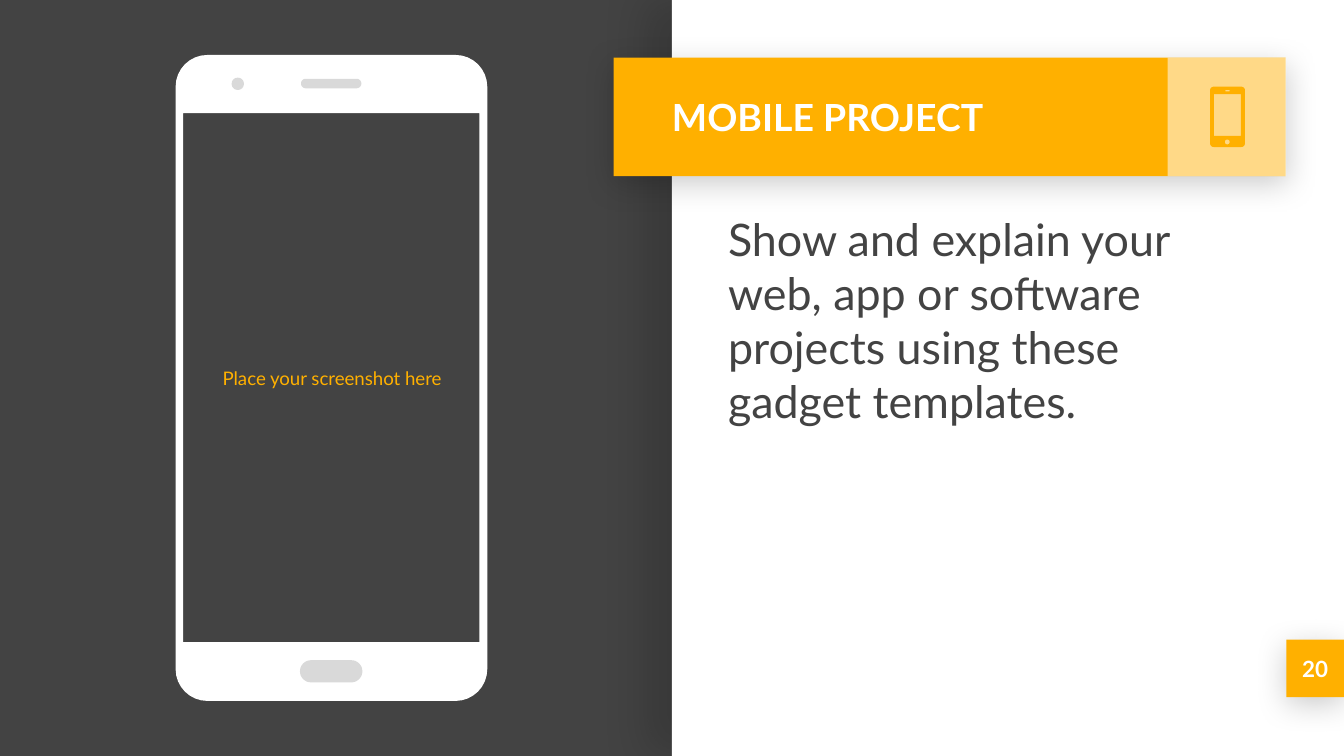
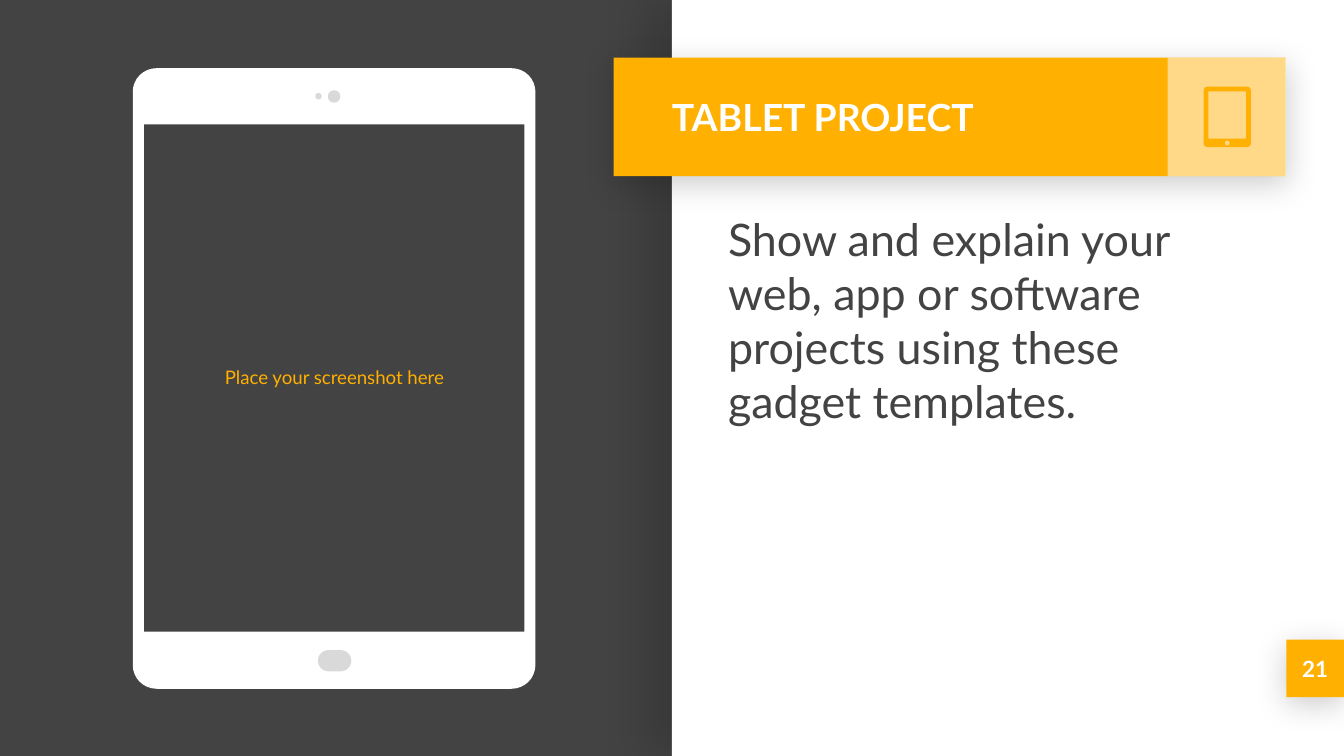
"""Build the phone and tablet project slides."""
import math
from typing import NamedTuple

from lxml import etree
from pptx import Presentation
from pptx import util as u
from pptx.dml.color import RGBColor
from pptx.enum import shapes, text
from pptx.oxml.ns import qn
from pptx.shapes.autoshape import Shape
from pptx.slide import Slide

COLORS = {"dark": "434343", "white": "FFFFFF", "amber": "FFB000", "grey": "D9D9D9", "black": "000000"}
FONT = "Lato"
CORNER_STEPS = 8


class Area(NamedTuple):
    """A rectangle in centimetres, with an optional corner radius."""
    left: float
    top: float
    width: float
    height: float
    radius: float = 0

    def lengths(self) -> list[u.Cm]:
        """Return left, top, width and height as lengths."""
        return [u.Cm(value) for value in self[:4]]

    def outline(self) -> list[tuple[int, int]]:
        """Return the points around the area, clockwise from the right."""
        inset = self.radius
        right, bottom = self.left + self.width - inset, self.top + self.height - inset
        left, top = self.left + inset, self.top + inset
        steps = CORNER_STEPS if inset else 0
        points = []
        for quarter, (x, y) in enumerate([(right, bottom), (left, bottom), (left, top), (right, top)]):
            for step in range(steps + 1):
                angle = math.pi / 2 * (quarter + step / max(steps, 1))
                points.append((u.Cm(x + inset * math.cos(angle)), u.Cm(y + inset * math.sin(angle))))
        return points


class Shadow(NamedTuple):
    """An outer shadow: opacity in percent, lengths in points, direction in degrees."""
    opacity: int
    blur: float
    distance: float
    direction: int


class Style(NamedTuple):
    """How a text box looks."""
    size: int
    color: str
    bold: bool = False
    align: text.PP_ALIGN = text.PP_ALIGN.LEFT
    anchor: text.MSO_ANCHOR = text.MSO_ANCHOR.MIDDLE
    space_before: int = 0


class Project(NamedTuple):
    """The content of one slide."""
    title: str
    number: str
    body: Area
    screen: Area
    caption: Area
    marks: list[Area]
    icon: list[Area]


PANEL = Area(12.7, 0, 12.7, 14.29)
BADGE = Area(24.31, 12.09, 1.09, 1.09)
BANNER = Area(11.6, 1.09, 12.7, 2.24)
ICON_TILE = Area(22.07, 1.09, 2.24, 2.24)
TITLE = Area(12.45, 1.09, 9.61, 2.24)
MESSAGE = Area(13.51, 3.76, 10.49, 8.15)

SIDE_SHADOW = Shadow(15, 22.5, 15, 180)
DROP_SHADOW = Shadow(20, 16.9, 3.8, 90)

TITLE_STYLE = Style(20, "white", bold=True)
NUMBER_STYLE = Style(12, "white", bold=True, align=text.PP_ALIGN.CENTER)
CAPTION_STYLE = Style(10, "amber", align=text.PP_ALIGN.CENTER)
MESSAGE_STYLE = Style(24, "dark", anchor=text.MSO_ANCHOR.TOP, space_before=6)

PROJECTS = [
    Project(
        "MOBILE PROJECT", "20",
        body=Area(3.32, 1.04, 5.89, 12.21, 0.6),
        screen=Area(3.46, 2.14, 5.6, 10),
        caption=Area(3.48, 2.18, 5.59, 9.93),
        marks=[Area(5.67, 12.48, 1.18, 0.42, 0.21), Area(4.38, 1.47, 0.23, 0.23, 0.11),
               Area(5.69, 1.49, 1.14, 0.18, 0.09)],
        icon=[Area(22.87, 1.64, 0.66, 1.14, 0.07), Area(22.94, 1.78, 0.51, 0.79),
              Area(23.16, 1.7, 0.08, 0.03, 0.01), Area(23.15, 2.64, 0.09, 0.09, 0.04)],
    ),
    Project(
        "TABLET PROJECT", "21",
        body=Area(2.51, 1.29, 7.61, 11.73, 0.45),
        screen=Area(2.72, 2.35, 7.19, 9.59),
        caption=Area(2.74, 2.36, 7.16, 9.55),
        marks=[Area(6.01, 12.29, 0.63, 0.4, 0.2), Area(5.96, 1.76, 0.12, 0.12, 0.06),
               Area(6.2, 1.71, 0.23, 0.23, 0.11)],
        icon=[Area(22.75, 1.64, 0.89, 1.14, 0.07), Area(22.84, 1.73, 0.71, 0.89),
              Area(23.15, 2.66, 0.09, 0.09, 0.04)],
    ),
]


def rgb(color: str) -> RGBColor:
    """Look up a named colour."""
    return RGBColor.from_string(COLORS[color])


def paint(shape: Shape, color: str) -> None:
    """Give a shape a flat fill without line or shadow."""
    shape.shadow.inherit = False
    shape.fill.solid()
    shape.fill.fore_color.rgb = rgb(color)
    shape.line.fill.background()


def add_alpha(color_element: etree._Element, percent: int) -> None:
    """Set the opacity of a colour element."""
    etree.SubElement(color_element, qn("a:alpha"), val=str(percent * 1000))


def add_block(page: Slide, area: Area, color: str, shadow: Shadow | None = None,
              opacity: int = 100) -> None:
    """Draw a plain rectangle."""
    block = page.shapes.add_shape(shapes.MSO_SHAPE.RECTANGLE, *area.lengths())
    paint(block, color)
    properties = block.element.spPr
    if opacity < 100:
        add_alpha(properties.find(qn("a:solidFill")).find(qn("a:srgbClr")), opacity)
    if shadow:
        outer = etree.SubElement(
            properties.find(qn("a:effectLst")), qn("a:outerShdw"),
            blurRad=str(u.Pt(shadow.blur)), dist=str(u.Pt(shadow.distance)),
            dir=str(shadow.direction * 60000), algn="bl", rotWithShape="0")
        add_alpha(etree.SubElement(outer, qn("a:srgbClr"), val=COLORS["black"]), shadow.opacity)


def add_outline(page: Slide, areas: list[Area], color: str) -> None:
    """Draw the first area with the others cut out of it."""
    first, *holes = [area.outline() for area in areas]
    builder = page.shapes.build_freeform(*first[0])
    builder.add_line_segments(first[1:])
    for hole in holes:
        builder.move_to(*hole[0])
        builder.add_line_segments(hole[1:])
    paint(builder.convert_to_shape(), color)


def add_text(page: Slide, area: Area, content: str, style: Style) -> None:
    """Place one paragraph of text."""
    frame = page.shapes.add_textbox(*area.lengths()).text_frame
    frame.word_wrap = True
    frame.vertical_anchor = style.anchor
    frame.margin_left = frame.margin_right = frame.margin_top = frame.margin_bottom = u.Cm(0.25)
    para = frame.paragraphs[0]
    para.text = content
    para.alignment = style.align
    para.space_before = u.Pt(style.space_before)
    para.font.name = FONT
    para.font.size = u.Pt(style.size)
    para.font.bold = style.bold
    para.font.color.rgb = rgb(style.color)


def add_frame(page: Slide) -> None:
    """Draw the background, panel and bands that all slides share."""
    page.background.fill.solid()
    page.background.fill.fore_color.rgb = rgb("dark")
    add_block(page, PANEL, "white", SIDE_SHADOW)
    add_block(page, BADGE, "amber", DROP_SHADOW)
    add_block(page, BANNER, "amber", DROP_SHADOW)
    add_block(page, ICON_TILE, "white", opacity=53)


def add_project(page: Slide, project: Project) -> None:
    """Fill one slide with a project."""
    add_frame(page)
    add_text(page, MESSAGE, "Show and explain your web, app or software projects using these gadget templates.",
             MESSAGE_STYLE)
    add_text(page, BADGE, project.number, NUMBER_STYLE)
    add_outline(page, [project.body, project.screen], "white")
    for mark in project.marks:
        add_outline(page, [mark], "grey")
    add_text(page, TITLE, project.title, TITLE_STYLE)
    add_outline(page, project.icon, "amber")
    add_text(page, project.caption, "Place your screenshot here", CAPTION_STYLE)


def main() -> None:
    """Build and save the deck."""
    deck = Presentation()
    deck.slide_width, deck.slide_height = u.Cm(25.4), u.Cm(14.29)
    for project in PROJECTS:
        add_project(deck.slides.add_slide(deck.slide_layouts[6]), project)
    deck.save("out.pptx")


if __name__ == "__main__":
    main()
